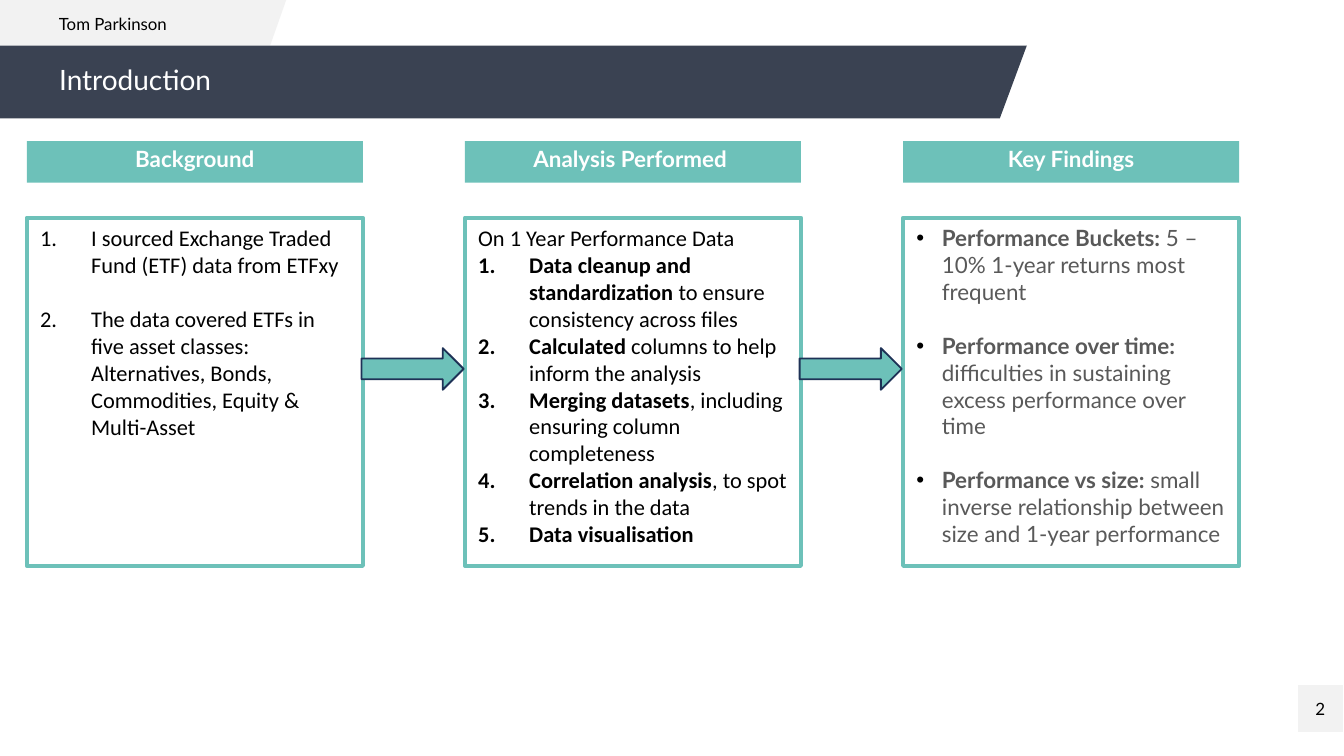
import pptx
import pptx.util
import pptx.dml.color
import pptx.enum.shapes
import pptx.enum.text
import pptx.oxml
import pptx.oxml.ns
from pptx.util import Inches

THEME = {
    "teal": "6DC1B9", "navy": "1E3256", "banner": "3A4252", "pale": "F2F2F2",
    "white": "FFFFFF", "black": "000000", "grey": "595959",
    "heading_font": "Lato", "body_font": "Calibri",
    "title_size": 15, "text_size": 12, "author_size": 9, "page_size": 9.1,
}

TITLE = "Introduction"
AUTHOR = "Tom Parkinson"
PAGE = "2"

# Each item is (marker, bold part, plain part).
COLUMNS = [
    {"heading": "Background", "font": "body_font", "color": "black",
     "indent": 0.38, "gap": 14.5, "items": [
         ("number", "", "I sourced Exchange Traded Fund (ETF) data from ETFxy"),
         ("number", "", "The data covered ETFs in five asset classes: "
                        "Alternatives, Bonds, Commodities, Equity & Multi-Asset")]},
    {"heading": "Analysis Performed ", "font": "body_font", "color": "black",
     "indent": 0.38, "gap": 0, "items": [
         (None, "", "On 1 Year Performance Data"),
         ("number", "Data cleanup and standardization ",
          "to ensure consistency across files"),
         ("number", "Calculated", " columns to help inform the analysis"),
         ("number", "Merging datasets", ", including ensuring column completeness"),
         ("number", "Correlation analysis", ", to spot trends in the data"),
         ("number", "Data visualisation", "")]},
    {"heading": "Key Findings", "font": "heading_font", "color": "grey",
     "indent": 0.19, "gap": 14.4, "items": [
         ("bullet", "Performance Buckets: ", "5 – 10% 1-year returns most frequent"),
         ("bullet", "Performance over time: ",
          "difficulties in sustaining excess performance over time"),
         ("bullet", "Performance vs size: ",
          "small inverse relationship between size and 1-year performance")]},
]

LEFT, COLUMN_WIDTH, COLUMN_STEP = 0.2, 2.5, 3.26
HEADING_TOP, HEADING_HEIGHT = 1.05, 0.31
BODY_TOP, BODY_HEIGHT = 1.62, 2.59
ARROW_TOP, ARROW_HEIGHT, ARROW_OVERLAP = 2.59, 0.31, 0.01

SHAPES = pptx.enum.shapes.MSO_SHAPE
ALIGN = pptx.enum.text.PP_ALIGN
ANCHOR = pptx.enum.text.MSO_ANCHOR


def rgb(name):
    return pptx.dml.color.RGBColor.from_string(THEME[name])


def paint(shape, fill=None, line=None, line_width=1):
    shape.shadow.inherit = False
    if fill:
        shape.fill.solid()
        shape.fill.fore_color.rgb = rgb(fill)
    else:
        shape.fill.background()
    if line:
        shape.line.color.rgb = rgb(line)
        shape.line.width = pptx.util.Pt(line_width)
    else:
        shape.line.fill.background()


def add_block(slide, preset, box, **look):
    block = slide.shapes.add_shape(preset, *map(Inches, box))
    paint(block, **look)
    return block


def add_banner(slide, corners, fill):
    points = [(Inches(x), Inches(y)) for x, y in corners]
    outline = slide.shapes.build_freeform(*points[0])
    outline.add_line_segments(points[1:], close=True)
    paint(outline.convert_to_shape(), fill=fill)


def set_font(paragraph, font, size, color, bold=None):
    paragraph.font.name = THEME[font]
    paragraph.font.size = pptx.util.Pt(THEME[size])
    paragraph.font.color.rgb = rgb(color)
    paragraph.font.bold = bold


def write_line(shape, text, size, color, align=ALIGN.LEFT, anchor=ANCHOR.TOP,
               bold=None, spacing=0.9):
    frame = shape.text_frame
    frame.word_wrap = True
    frame.auto_size = pptx.enum.text.MSO_AUTO_SIZE.NONE
    frame.vertical_anchor = anchor
    frame.margin_left = frame.margin_right = Inches(0.1)
    frame.margin_top = frame.margin_bottom = Inches(0.05)
    frame.text = text
    paragraph = frame.paragraphs[0]
    paragraph.alignment = align
    paragraph.line_spacing = spacing
    set_font(paragraph, "heading_font", size, color, bold)
    return frame


def add_marker(paragraph, marker, indent):
    """Give the paragraph a hanging number or bullet."""
    properties = paragraph._p.get_or_add_pPr()
    properties.set("marL", str(Inches(indent)))
    properties.set("indent", str(-Inches(indent)))
    if marker == "number":
        parts = ['<a:buFont {} typeface="+mj-lt"/>',
                 '<a:buAutoNum {} type="arabicPeriod"/>']
    else:
        parts = ['<a:buClr {}><a:srgbClr val="%s"/></a:buClr>' % THEME["black"],
                 '<a:buFont {} typeface="Arial"/>', '<a:buChar {} char="•"/>']
    for part in parts:
        xml = part.format(pptx.oxml.ns.nsdecls("a"))
        properties.append(pptx.oxml.parse_xml(xml))


def fill_body(frame, column):
    frame.word_wrap = True
    frame.vertical_anchor = ANCHOR.TOP
    for index, (marker, strong, plain) in enumerate(column["items"]):
        paragraph = frame.add_paragraph() if index else frame.paragraphs[0]
        paragraph.alignment = ALIGN.LEFT
        if index and column["gap"]:
            paragraph.space_before = pptx.util.Pt(column["gap"])
        if marker:
            add_marker(paragraph, marker, column["indent"])
        set_font(paragraph, column["font"], "text_size", column["color"])
        for text, bold in ((strong, True), (plain, False)):
            if text:
                run = paragraph.add_run()
                run.text = text
                run.font.bold = bold


def add_text(slide, box, *args, **kwargs):
    return write_line(slide.shapes.add_textbox(*map(Inches, box)), *args, **kwargs)


def add_header(slide):
    add_banner(slide, [(0, 0), (2.13, 0), (2.01, 0.34), (0, 0.34)], "pale")
    add_banner(slide, [(0, 0.34), (7.64, 0.34), (7.44, 0.88), (0, 0.88)], "banner")
    add_text(slide, (0.34, 0.07, 1.66, 0.24), AUTHOR, "author_size", "black")
    title = slide.shapes.title
    title.left, title.top, title.width, title.height = map(
        Inches, (0.34, 0.44, 6.94, 0.33))
    write_line(title, TITLE, "title_size", "white", anchor=ANCHOR.MIDDLE)
    slide.shapes._spTree.append(title._element)  # bring in front of the banner


def add_columns(slide):
    for index, column in enumerate(COLUMNS):
        left = LEFT + index * COLUMN_STEP
        body = add_block(slide, SHAPES.RECTANGLE,
                         (left, BODY_TOP, COLUMN_WIDTH, BODY_HEIGHT),
                         line="teal", line_width=2.25)
        fill_body(body.text_frame, column)
        heading = add_block(slide, SHAPES.RECTANGLE,
                            (left, HEADING_TOP, COLUMN_WIDTH, HEADING_HEIGHT),
                            fill="teal")
        write_line(heading, column["heading"], "text_size", "white",
                   align=ALIGN.CENTER, bold=True)
    for index in range(len(COLUMNS) - 1):
        left = LEFT + index * COLUMN_STEP + COLUMN_WIDTH - ARROW_OVERLAP
        add_block(slide, SHAPES.RIGHT_ARROW,
                  (left, ARROW_TOP, COLUMN_STEP - COLUMN_WIDTH, ARROW_HEIGHT),
                  fill="teal", line="navy")


def add_page_number(slide):
    add_banner(slide, [(9.99, 5.1), (9.66, 5.1), (9.66, 5.45), (9.99, 5.45)], "pale")
    frame = add_text(slide, (9.66, 5.15, 0.33, 0.24), PAGE, "page_size", "black",
                     align=ALIGN.CENTER, anchor=ANCHOR.MIDDLE, spacing=1.0)
    frame.margin_left = frame.margin_right = Inches(0.05)
    frame.margin_top = frame.margin_bottom = Inches(0.02)


def main():
    deck = pptx.Presentation()
    deck.slide_width = Inches(10)
    deck.slide_height = deck.slide_width * 9 // 16
    title_only = deck.slide_layouts[5]
    slide = deck.slides.add_slide(title_only)
    add_page_number(slide)
    add_header(slide)
    add_columns(slide)
    deck.save("out.pptx")


if __name__ == "__main__":
    main()
